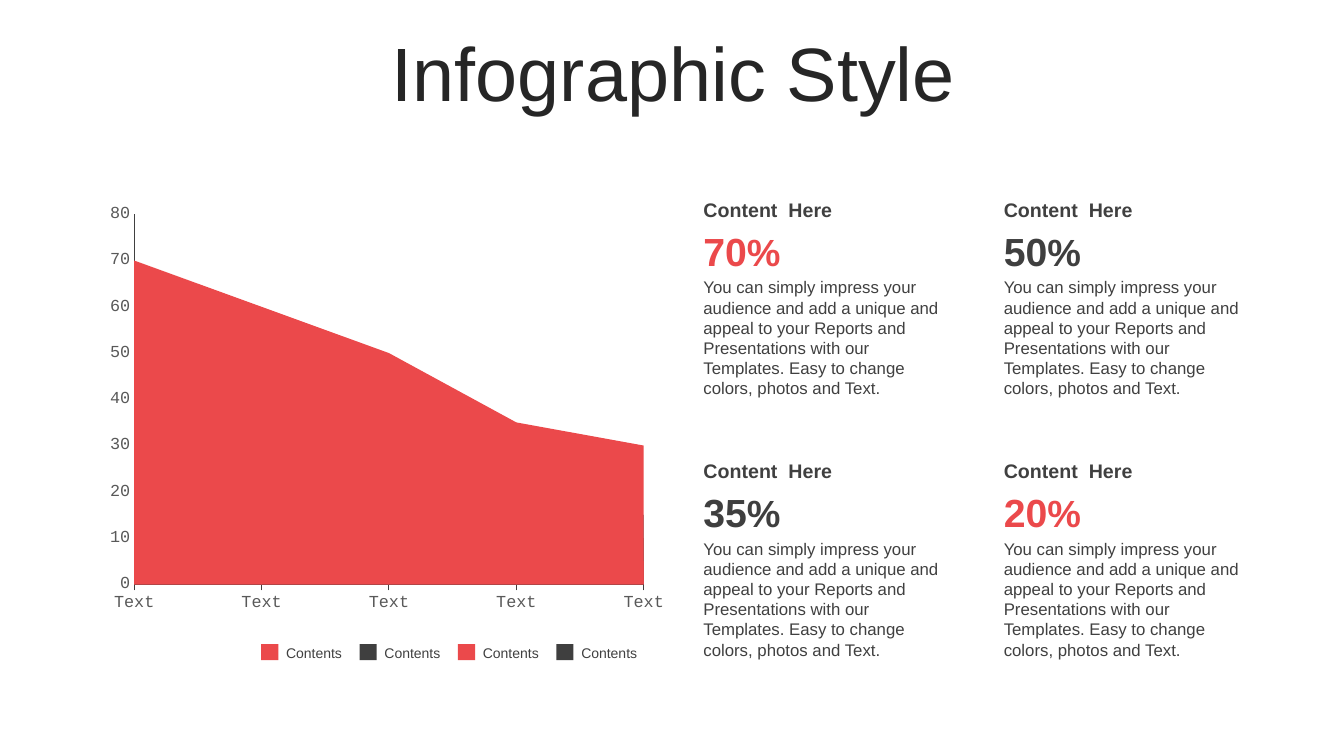
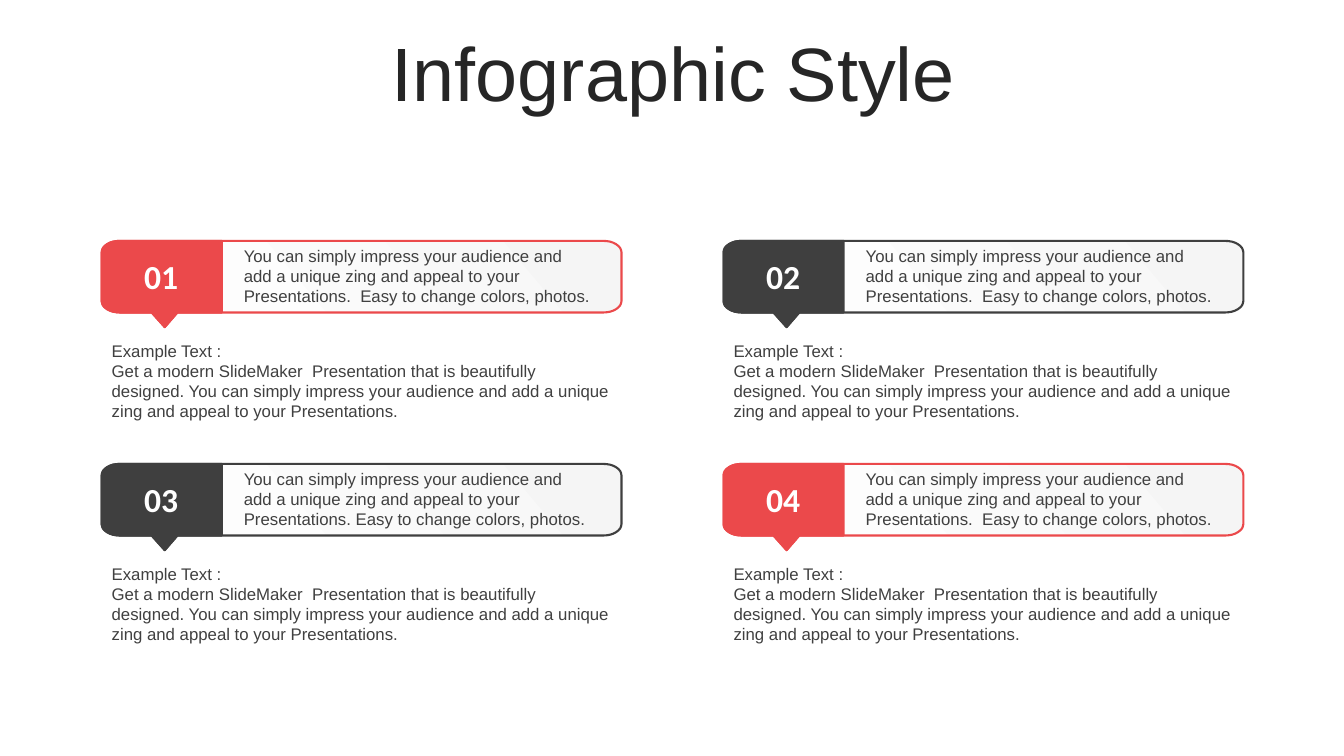
"""Build two infographic slides: an area chart with figures, and four numbered cards."""
from dataclasses import dataclass
from math import cos, radians, sin

from lxml.etree import SubElement
from pptx import Presentation
from pptx.chart.data import CategoryChartData as Data
from pptx.dml.color import RGBColor as Rgb
from pptx.enum.chart import XL_CHART_TYPE as Kind, XL_TICK_MARK as Tick
from pptx.enum.shapes import MSO_SHAPE as Shape
from pptx.enum.text import MSO_ANCHOR as Anchor, MSO_AUTO_SIZE as Fit, PP_ALIGN as Align
from pptx.oxml.ns import qn
from pptx.util import Inches, Pt


@dataclass(frozen=True)
class Theme:
    red: Rgb = Rgb.from_string("EB494B")
    dark: Rgb = Rgb.from_string("3F3F3F")
    ink: Rgb = Rgb.from_string("404040")
    head: Rgb = Rgb.from_string("262626")
    axis: Rgb = Rgb.from_string("595959")
    mist: Rgb = Rgb.from_string("F5F5F5")
    white: Rgb = Rgb.from_string("FFFFFF")
    sans: str = "Arial"
    digit: str = "Calibri"
    mono: str = "Courier New"
    title: int = 54
    value: int = 28
    sign: int = 27
    number: int = 24
    label: int = 14
    body: int = 12
    key: int = 10


look = Theme()
deck = Presentation()
deck.slide_width, deck.slide_height = Inches(13.33), Inches(7.5)
col, row = deck.slide_width / 100, deck.slide_height / 100


def area(x, y, wide, high):
    return [round(n) for n in (x * col, y * row, wide * col, high * row)]


def write(box, text, size=look.body, color=look.ink, font=look.sans, bold=False,
          align=Align.LEFT, anchor=Anchor.TOP, fit=Fit.SHAPE_TO_FIT_TEXT, space=None, tail=""):
    frame = box.text_frame
    frame.word_wrap, frame.auto_size, frame.vertical_anchor = True, fit, anchor
    for i, line in enumerate(text.split("\n")):
        para = frame.add_paragraph() if i else frame.paragraphs[0]
        para.alignment, para.line_spacing = align, space
        for part, points in ((line, size), (tail, look.sign)):
            if part:
                run = para.add_run()
                run.text = part
                run.font.name, run.font.size, run.font.bold = font, Pt(points), bold
                run.font.color.rgb = color


plan = deck.slide_layouts[5]
head = plan.placeholders[0]
head.left, head.top, head.width, head.height = area(2.63, 4.93, 94.98, 10.53)
stats, cards = [deck.slides.add_slide(plan) for _ in range(2)]
for page in (stats, cards):
    write(page.shapes.title, "Infographic Style", size=look.title, color=look.head,
          align=Align.CENTER, anchor=Anchor.MIDDLE, fit=Fit.NONE, space=0.9)

for i in range(4):
    x = 19.43 + i * 7.32
    swatch = stats.shapes.add_shape(Shape.RECTANGLE, *area(x, 85.2, 1.28, 2.13))
    swatch.shadow.inherit = False
    swatch.fill.solid()
    swatch.fill.fore_color.rgb = (look.red, look.dark)[i % 2]
    swatch.line.fill.background()
    write(stats.shapes.add_textbox(*area(x + 1.12, 84.53, 6.3, 3.6)), "Contents",
          size=look.key, anchor=Anchor.MIDDLE)

pitch = ("You can simply impress your audience and add a unique and appeal to your Reports and "
         "Presentations with our Templates. Easy to change colors, photos and Text.")
tints = (look.red, look.dark, look.dark, look.red)
for i, (value, tint) in enumerate(zip(("70", "50", "35", "20"), tints)):
    x, y = 51.6 + i % 2 * 22.35, 25.47 + i // 2 * 34.57
    write(stats.shapes.add_textbox(*area(x, y, 19.65, 4.53)), "Content  Here",
          size=look.label, bold=True, anchor=Anchor.MIDDLE)
    write(stats.shapes.add_textbox(*area(x, y + 10.53, 19.6, 17.47)), pitch)
    write(stats.shapes.add_textbox(*area(x, y + 3.87, 19.6, 7.6)), value, tail="%",
          size=look.value, color=tint, bold=True, anchor=Anchor.MIDDLE)

data = Data()
data.categories = ["Text"] * 5
rows = ((20, 25, 20, 10, 5), (70, 60, 50, 35, 30), (50, 40, 35, 25, 15),
        (35, 30, 25, 15, 10), (20, 25, 20, 10, 5))
for i, vals in enumerate(rows, 1):
    data.add_series(f"Series {i}", vals)
chart = stats.shapes.add_chart(Kind.AREA, *area(7.43, 25.47, 42.6, 57.6), data).chart
chart.has_legend = chart.has_title = False
chart.font.name, chart.font.size = look.mono, Pt(look.key)
chart.plots[0].vary_by_categories = False
fills = (look.red, look.red, look.dark, look.red, look.dark)
for series, tint in zip(chart.plots[0].series, fills):
    series.format.fill.solid()
    series.format.fill.fore_color.rgb = tint
    series.format.line.fill.background()
across, up = chart.category_axis, chart.value_axis
for axis, tick in ((across, Tick.OUTSIDE), (up, Tick.NONE)):
    axis.has_major_gridlines = False
    axis.major_tick_mark, axis.minor_tick_mark = tick, Tick.NONE
    axis.format.line.color.rgb, axis.format.line.width = look.ink, Pt(0.75)
    font = axis.tick_labels.font
    font.name, font.size, font.color.rgb = look.mono, Pt(look.body), look.axis
up.minimum_scale, up.maximum_scale, up.major_unit = 0, 80, 10
plot = chart.element.find(".//" + qn("c:plotArea"))
plot.find(".//" + qn("c:crossBetween")).set("val", "midCat")
for old in plot.findall(qn("c:layout")):
    plot.remove(old)
place = SubElement(plot, qn("c:layout"))
plot.insert(0, place)
manual = SubElement(place, qn("c:manualLayout"))
for tag, val in (("layoutTarget", "inner"), ("xMode", "edge"), ("yMode", "edge"),
                 ("x", 0.06), ("y", 0.05), ("w", 0.89), ("h", 0.85)):
    SubElement(manual, qn("c:" + tag)).set("val", str(val))

blurb = ("You can simply impress your audience and add a unique zing and appeal to your "
         "Presentations.  Easy to change colors, photos.")
notes = (blurb, blurb, blurb.replace(".  ", ". "), blurb)
sample = ("Example Text :\nGet a modern SlideMaker  Presentation that is beautifully designed. "
          "You can simply impress your audience and add a unique zing and appeal to your "
          "Presentations.")
high, bend, drop = 9.47, 1.35, 1.5
for i, (note, tint) in enumerate(zip(notes, tints)):
    x, y = 7.57 + i % 2 * 46.27, 31.87 + i // 2 * 29.5
    for wide, curve in ((38.67, 1), (8.93, 0)):
        dots = []
        for east, south, turn in ((1, 0, -90), (1, 1, 0), (0, 1, 90), (0, 0, 180)):
            r = curve if east else 1
            mid = x + (wide - bend * r if east else bend)
            level = y + (high - drop * r if south else drop * r)
            for step in range(9 if r else 1):
                angle = radians(turn + step * 11.25)
                dots.append((mid + bend * r * cos(angle), level + drop * r * sin(angle)))
            if east and south:
                dots += [(x + 5.63, y + high), (x + 4.69, y + 11.4), (x + 3.72, y + high)]
        dots = [(a * 100, b * 100) for a, b in dots]
        form = cards.shapes.build_freeform(*dots[0], scale=(col / 100, row / 100))
        form.add_line_segments(dots[1:], close=True)
        plate = form.convert_to_shape()
        plate.shadow.inherit = False
        plate.line.color.rgb, plate.line.width = tint, Pt(1.5)
        if curve:
            plate.fill.gradient()
            plate.fill.gradient_angle = 220
            for stop, shade in zip(plate.fill.gradient_stops, (look.mist, look.white)):
                stop.color.rgb = shade
        else:
            plate.fill.solid()
            plate.fill.fore_color.rgb = tint
    write(cards.shapes.add_textbox(*area(x + 1.5, y + 1.33, 5.85, 6.67)), f"{i + 1:02}",
          size=look.number, color=look.white, font=look.digit, bold=True, align=Align.CENTER)
    write(cards.shapes.add_textbox(*area(x + 9.83, y, 27.6, high)), note)
    write(cards.shapes.add_textbox(*area(x, y + 12.53, 38.7, 12.13)), sample)

deck.save("out.pptx")
